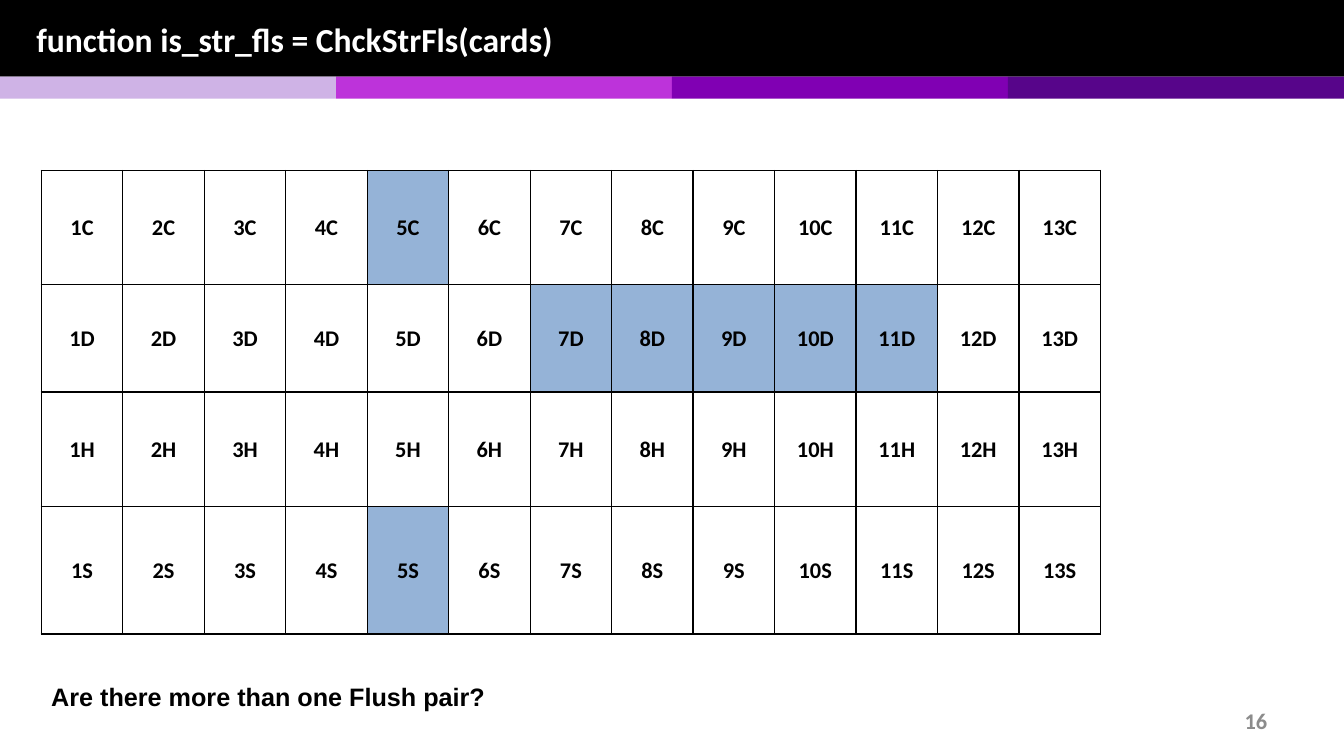
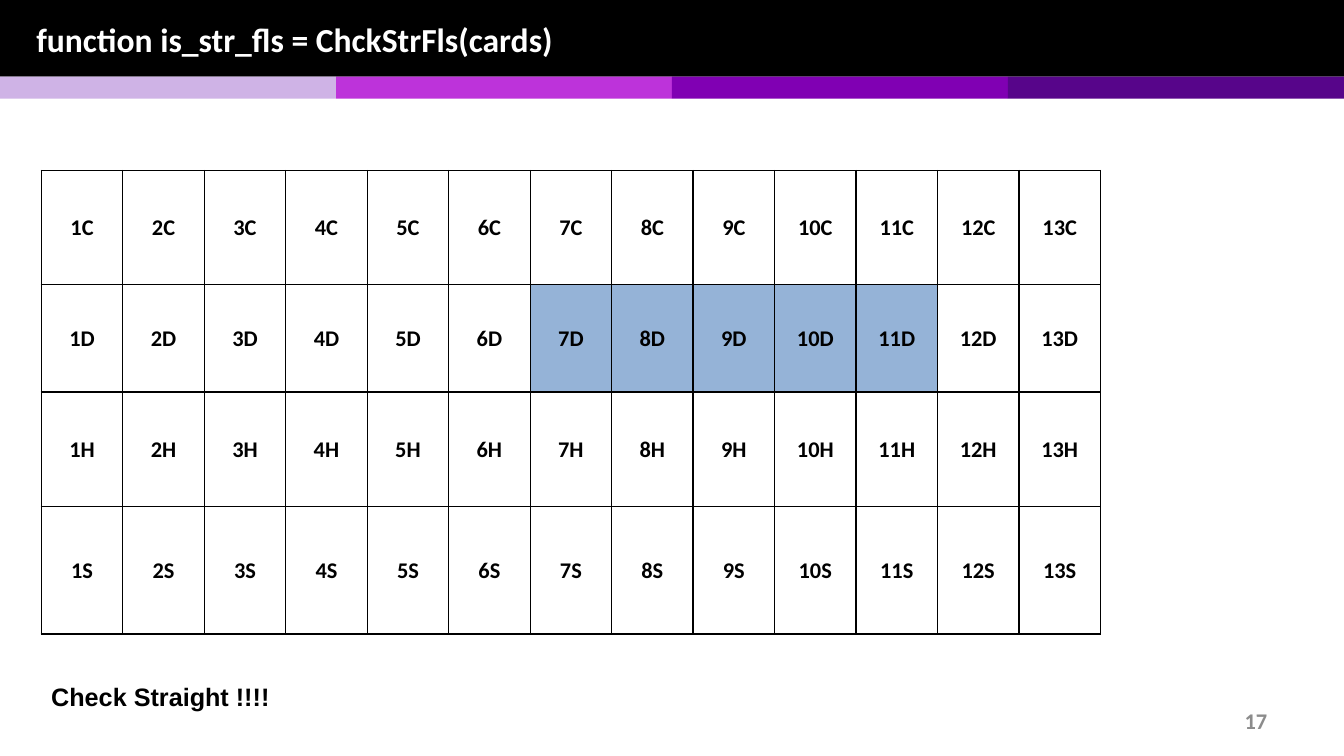
from lxml import etree
from pptx import Presentation
from pptx.dml.color import RGBColor
from pptx.enum import shapes, text
from pptx.oxml import ns
from pptx.util import Pt

BLACK = RGBColor(0x00, 0x00, 0x00)
WHITE = RGBColor(0xFF, 0xFF, 0xFF)
GRAY = RGBColor(0x8C, 0x8C, 0x8C)
HELD = RGBColor(0x95, 0xB3, 0xD7)
STRIPES = (
    RGBColor(0xCF, 0xB3, 0xE6),
    RGBColor(0xBD, 0x33, 0xDA),
    RGBColor(0x80, 0x00, 0xB3),
    RGBColor(0x57, 0x05, 0x8A),
)

TITLE = "function is_str_fls = ChckStrFls(cards)"
SUITS = "CDHS"
RANKS = range(1, 14)
STRAIGHT = {"7D", "8D", "9D", "10D", "11D"}
SLIDES = (
    {"number": "16", "caption": "Are there more than one Flush pair?",
     "held": STRAIGHT | {"5C", "5S"}},
    {"number": "17", "caption": "Check Straight !!!!", "held": STRAIGHT},
)

WIDTH, HEIGHT = 960, 540
HEADER_HEIGHT, STRIPE_HEIGHT = 54.7, 15.8
TITLE_BOX = (18.7, 0.7, 923, 54)
NUMBER_BOX = (688.3, 500.4, 224, 28.8)
CAPTION_BOX = (29.5, 483.1, 592.6, 29)
TABLE_LEFT, TABLE_TOP = 29.5, 121.7
COLUMN_WIDTH = 58.2
ROW_HEIGHTS = (81.4, 77, 81.8, 91)

TITLE_FONT = {"name": "Calibri", "size": Pt(24), "bold": True}
CARD_FONT = {"name": "Calibri", "size": Pt(16), "bold": True}
CAPTION_FONT = {"name": "Arial", "size": Pt(18), "bold": True}
CARD_FORMAT = {
    "vertical_anchor": text.MSO_ANCHOR.MIDDLE,
    "margin_left": Pt(5.4), "margin_right": Pt(5.4),
    "margin_top": 0, "margin_bottom": 0,
}


def apply(target, values):
    for name, value in values.items():
        setattr(target, name, value)


def write(frame, content, font, color, align=text.PP_ALIGN.LEFT):
    frame.text = content
    paragraph = frame.paragraphs[0]
    paragraph.alignment = align
    apply(paragraph.font, font)
    paragraph.font.color.rgb = color
    return paragraph


def place(shape, box):
    apply(shape, dict(zip(("left", "top", "width", "height"), map(Pt, box))))


def add_text(slide, box, content, font, color, anchor, align=text.PP_ALIGN.LEFT):
    shape = slide.shapes.add_textbox(*map(Pt, box))
    apply(shape.text_frame, {"word_wrap": True, "vertical_anchor": anchor})
    write(shape.text_frame, content, font, color, align)


def move_header_to_layout(slide, layout):
    for placeholder in list(layout.placeholders)[1:]:
        placeholder.element.getparent().remove(placeholder.element)
    stripe_width = WIDTH / len(STRIPES)
    bands = [((0, 0, WIDTH, HEADER_HEIGHT), BLACK)]
    bands += [((i * stripe_width, HEADER_HEIGHT, stripe_width, STRIPE_HEIGHT), color)
              for i, color in enumerate(STRIPES)]
    drawn = []
    for box, color in bands:
        band = slide.shapes.add_shape(shapes.MSO_SHAPE.RECTANGLE, *map(Pt, box))
        band.shadow.inherit = False
        band.fill.solid()
        band.fill.fore_color.rgb = color
        band.line.fill.background()
        drawn.append(band.element)
    title = layout.placeholders[0].element
    for element in drawn:
        title.addprevious(element)


def add_borders(cell):
    properties = cell._tc.get_or_add_tcPr()
    for side in ("lnL", "lnR", "lnT", "lnB"):
        line = etree.SubElement(properties, ns.qn(f"a:{side}"), w=str(Pt(1)))
        fill = etree.SubElement(line, ns.qn("a:solidFill"))
        etree.SubElement(fill, ns.qn("a:srgbClr"), val=str(BLACK))


def add_card_table(slide, held):
    table = slide.shapes.add_table(
        len(SUITS), len(RANKS), Pt(TABLE_LEFT), Pt(TABLE_TOP),
        Pt(COLUMN_WIDTH * len(RANKS)), Pt(sum(ROW_HEIGHTS))).table
    apply(table, {"first_row": False, "horz_banding": False})
    for column in table.columns:
        column.width = Pt(COLUMN_WIDTH)
    for row, (suit, height) in enumerate(zip(SUITS, ROW_HEIGHTS)):
        table.rows[row].height = Pt(height)
        for column, rank in enumerate(RANKS):
            card = f"{rank}{suit}"
            cell = table.cell(row, column)
            apply(cell, CARD_FORMAT)
            add_borders(cell)
            cell.fill.solid()
            cell.fill.fore_color.rgb = HELD if card in held else WHITE
            paragraph = write(cell.text_frame, card, CARD_FONT, BLACK,
                              text.PP_ALIGN.CENTER)
            paragraph.line_spacing = 1.07


def main():
    presentation = Presentation()
    apply(presentation, {"slide_width": Pt(WIDTH), "slide_height": Pt(HEIGHT)})
    layout = presentation.slide_layouts[5]
    for index, content in enumerate(SLIDES):
        slide = presentation.slides.add_slide(layout)
        if index == 0:
            move_header_to_layout(slide, layout)
        title = slide.shapes.title
        place(title, TITLE_BOX)
        apply(title.text_frame, {
            "word_wrap": True, "auto_size": text.MSO_AUTO_SIZE.NONE,
            "vertical_anchor": text.MSO_ANCHOR.MIDDLE})
        write(title.text_frame, TITLE, TITLE_FONT, WHITE)
        add_text(slide, NUMBER_BOX, content["number"], CARD_FONT, GRAY,
                 text.MSO_ANCHOR.MIDDLE, text.PP_ALIGN.RIGHT)
        add_card_table(slide, content["held"])
        add_text(slide, CAPTION_BOX, content["caption"], CAPTION_FONT, BLACK,
                 text.MSO_ANCHOR.TOP)
    presentation.save("out.pptx")


if __name__ == "__main__":
    main()
